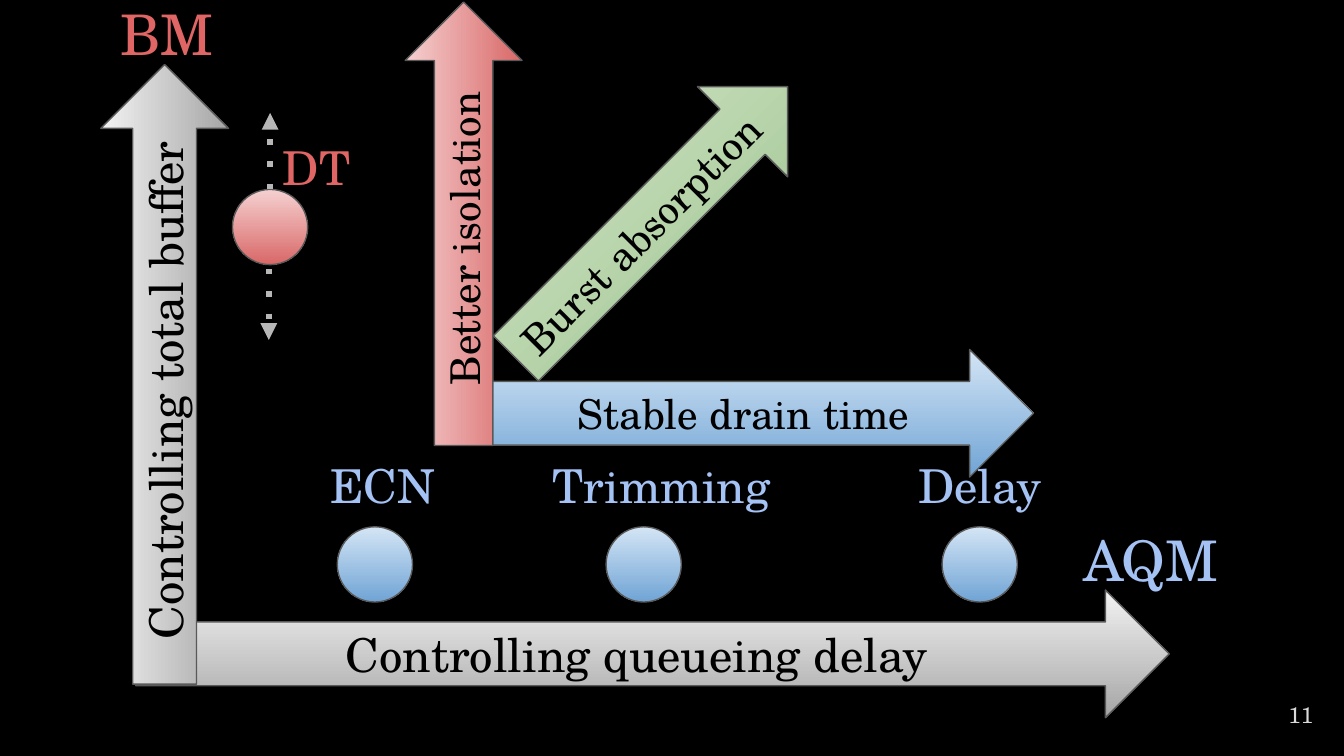
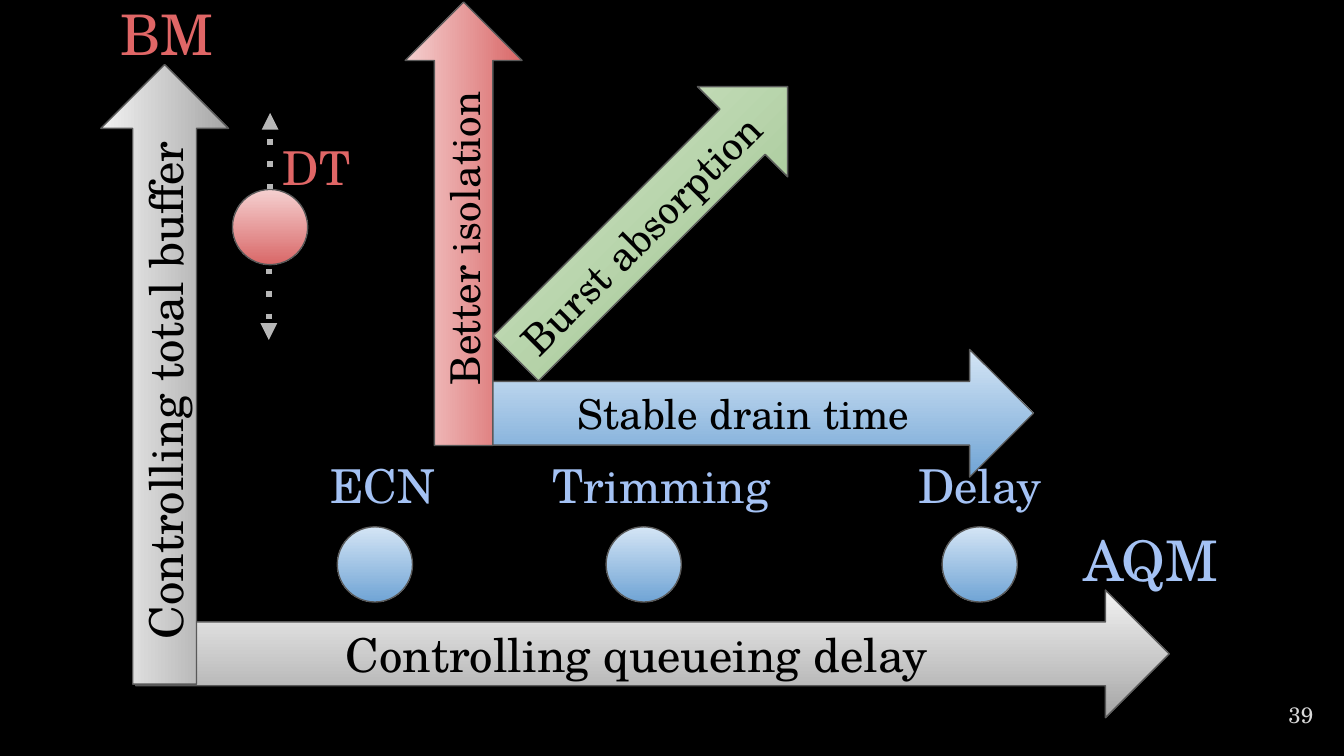
"""Build two slides that map buffer management and AQM schemes onto two axes."""
from dataclasses import dataclass

import pptx
import pptx.dml.color
import pptx.enum.dml
import pptx.enum.shapes
import pptx.enum.text
import pptx.oxml
import pptx.oxml.ns
import pptx.util
from lxml import etree

RGB = pptx.dml.color.RGBColor.from_string
SHAPE = pptx.enum.shapes.MSO_SHAPE
ALIGN = pptx.enum.text.PP_ALIGN
ANCHOR = pptx.enum.text.MSO_ANCHOR
AUTO = pptx.enum.text.MSO_AUTO_SIZE


@dataclass(frozen=True)
class Theme:
    font: str = "TeX Gyre Schola"
    background: str = "000000"
    ink: str = "000000"
    outline: str = "595959"
    pointer: str = "B7B7B7"
    number: str = "D9D9D9"
    bm: str = "E06666"
    aqm: str = "A4C2F4"
    grey: tuple = ("F2F2F2", "A6A6A6")
    blue: tuple = ("D4E5F5", "70A4D5")
    red: tuple = ("F5D0D0", "D96868")
    green: tuple = ("DCECD5", "93BC81")
    axis_size: int = 30
    scheme_size: int = 25
    goal_size: int = 22
    number_size: int = 12
    outline_width: float = 0.75
    pointer_width: float = 3


class Deck:
    columns, rows = 100, 56.25
    dot_size = 5.6

    def __init__(self, theme):
        self.theme = theme
        self.prs = pptx.Presentation()
        self.prs.slide_width = pptx.util.Inches(10)
        self.prs.slide_height = pptx.util.Inches(5.625)
        fill = self.prs.slide_master.background.fill
        fill.solid()
        fill.fore_color.rgb = RGB(theme.background)

    def new_slide(self):
        self.s = self.prs.slides.add_slide(self.prs.slide_layouts[6])

    def grid(self, *lengths):
        units = (self.prs.slide_width / self.columns, self.prs.slide_height / self.rows)
        return [round(n * units[i % 2]) for i, n in enumerate(lengths)]

    def set_text(self, sp, text, size, color, align=ALIGN.CENTER, anchor=ANCHOR.MIDDLE):
        tf = sp.text_frame
        tf.word_wrap = True
        tf.vertical_anchor = anchor
        tf.margin_left = tf.margin_right = pptx.util.Inches(0.1)
        tf.margin_top = tf.margin_bottom = pptx.util.Inches(0.1)
        tf.text = text
        p = tf.paragraphs[0]
        p.alignment = align
        r = p.runs[0]
        r.font.name = self.theme.font
        r.font.size = pptx.util.Pt(size)
        r.font.color.rgb = RGB(color)

    def label(self, text, left, top, width, height, size, color):
        sp = self.s.shapes.add_textbox(*self.grid(left, top, width, height))
        self.set_text(sp, text, size, color, anchor=ANCHOR.TOP)
        sp.text_frame.auto_size = AUTO.SHAPE_TO_FIT_TEXT

    def axis_label(self, text, left, top, width, color):
        self.label(text, left, top, width, 7.1, self.theme.axis_size, color)

    def scheme_label(self, text, left, top, width, color):
        self.label(text, left, top, width, 6.2, self.theme.scheme_size, color)

    def number(self, value):
        sp = self.s.shapes.add_textbox(*self.grid(92.7, 51, 6, 4.3))
        self.set_text(sp, str(value), self.theme.number_size, self.theme.number, ALIGN.RIGHT)

    def shape(self, kind, x, y, width, height, colors):
        box = self.grid(x - width / 2, y - height / 2, width, height)
        sp = self.s.shapes.add_shape(kind, *box)
        sp.shadow.inherit = False
        sp.fill.gradient()
        sp.fill.gradient_angle = 270
        for stop, color in zip(sp.fill.gradient_stops, colors):
            stop.color.rgb = RGB(color)
        sp.line.color.rgb = RGB(self.theme.outline)
        sp.line.width = pptx.util.Pt(self.theme.outline_width)
        return sp

    def dot(self, x, y, colors):
        self.shape(SHAPE.OVAL, x, y, self.dot_size, self.dot_size, colors)

    def arrow(self, text, x, y, length, colors, size, rotation=0, breadth=9.5):
        sp = self.shape(SHAPE.RIGHT_ARROW, x, y, length, breadth, colors)
        sp.rotation = rotation
        self.set_text(sp, text, size, self.theme.ink)

    def pointer(self, x, start, end):
        sp = self.s.shapes.add_connector(
            pptx.enum.shapes.MSO_CONNECTOR.STRAIGHT, *self.grid(x, start, x, end))
        sp.line.color.rgb = RGB(self.theme.pointer)
        sp.line.width = pptx.util.Pt(self.theme.pointer_width)
        sp.line.dash_style = pptx.enum.dml.MSO_LINE.ROUND_DOT
        qn = pptx.oxml.ns.qn
        props = sp._element.spPr
        ln = props.find(qn("a:ln"))
        ln.find(qn("a:prstDash")).set("val", "dot")
        etree.SubElement(ln, qn("a:tailEnd"), type="triangle")
        etree.SubElement(props, qn("a:effectLst"))


def design_space(deck, page):
    t = deck.theme
    deck.new_slide()
    deck.number(page)

    schemes = (("Trimming", 47.9, 35.2, 28), ("ECN", 27.9, 16.6, 23.8), ("Delay", 72.9, 64.1, 17.6))
    for name, x, left, width in schemes:
        deck.dot(x, 42, t.blue)
        deck.scheme_label(name, left, 33, width, t.aqm)
    deck.axis_label("AQM", 71.3, 38.1, 28.7, t.aqm)
    deck.arrow("Controlling queueing delay", 48.55, 48.65, 76.9, t.grey, t.scheme_size)

    deck.arrow("Controlling total buffer", 12.25, 27.85, 46.1, t.grey, t.scheme_size, 270)
    deck.axis_label("BM", 3.9, -1, 17, t.bm)
    deck.dot(20.1, 16.9, t.red)
    deck.scheme_label("DT", 11.9, 9.3, 23.3, t.bm)
    deck.pointer(20.1, 14.1, 8.4)
    deck.pointer(20, 20, 25.3)

    deck.arrow("Burst absorption", 48.5, 16.55, 28.6, t.green, t.goal_size, 315)
    deck.arrow("Stable drain time", 56.5, 30.75, 40.8, t.blue, t.goal_size)
    deck.arrow("Better isolation", 34.5, 16.65, 33, t.red, t.goal_size, 270, 8.7)


def main():
    deck = Deck(Theme())
    for page in (11, 39):
        design_space(deck, page)
    deck.prs.save("out.pptx")


if __name__ == "__main__":
    main()
